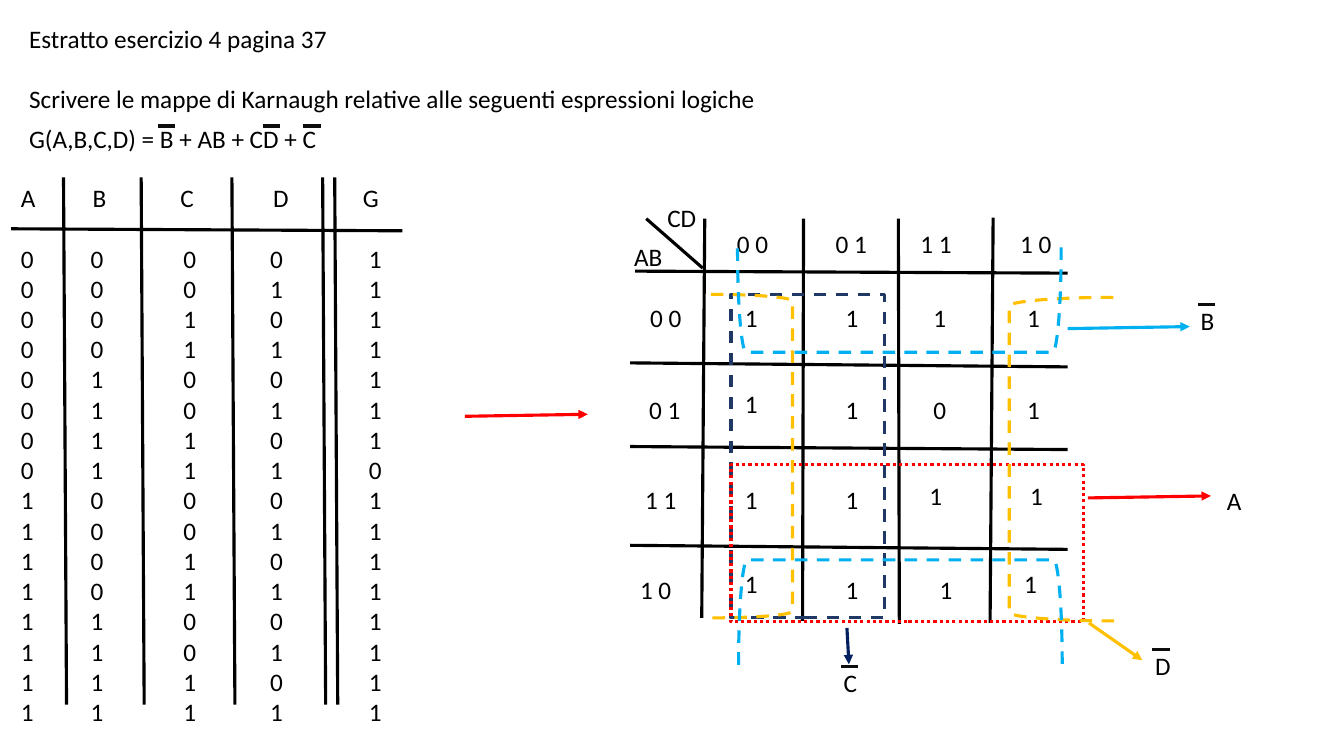
"""Builds the Karnaugh map exercise slide with its truth table and groupings."""
from itertools import product

from lxml.etree import SubElement
from pptx import Presentation
from pptx.dml.color import RGBColor
from pptx.enum.dml import MSO_LINE
from pptx.enum.shapes import MSO_CONNECTOR, MSO_SHAPE
from pptx.oxml.ns import qn
from pptx.util import Inches, Pt

COLOURS = {
    "black": "000000", "bar": "0D0D0D", "red": "FF0000", "yellow": "FFC000",
    "sky": "00B0F0", "blue": "203864", "navy": "002060",
}
LINE_PITCH = Pt(21.6)


class SlideBuilder:
    def __init__(self, slide):
        self.slide = slide
        self.font_name = "Calibri"
        self.font_size = Pt(18)
        self.line_width = Pt(2.25)

    def colour(self, name):
        return RGBColor.from_string(COLOURS[name])

    def text(self, left, top, width, height, *lines, gap_after_first=False, tab_stops=()):
        box = self.slide.shapes.add_textbox(
            Inches(left), Inches(top), Inches(width), Inches(height))
        frame = box.text_frame
        frame.word_wrap = True
        for index, line in enumerate(lines):
            paragraph = frame.add_paragraph() if index else frame.paragraphs[0]
            paragraph.text = line
            if index == 1 and gap_after_first:
                paragraph.space_before = LINE_PITCH
            if tab_stops:
                tab_list = SubElement(paragraph._p.get_or_add_pPr(), qn("a:tabLst"))
                for position in tab_stops[min(index, 1)]:
                    SubElement(tab_list, qn("a:tab"), pos=str(Inches(position)), algn="l")
            paragraph.font.name = self.font_name
            paragraph.font.size = self.font_size
            paragraph.font.color.rgb = self.colour("black")

    def line(self, start_x, start_y, end_x, end_y, colour="black", arrow=False):
        connector = self.slide.shapes.add_connector(
            MSO_CONNECTOR.STRAIGHT, Inches(start_x), Inches(start_y),
            Inches(end_x), Inches(end_y))
        connector.line.color.rgb = self.colour(colour)
        connector.line.width = self.line_width
        if arrow:
            SubElement(connector.line._get_or_add_ln(), qn("a:tailEnd"), type="triangle")
        SubElement(connector._element.spPr, qn("a:effectLst"))

    def negation_bar(self, left, top):
        self.line(left, top, left + 0.17, top, "bar")

    def outline(self, kind, left, top, width, height, colour, dash=MSO_LINE.DASH, rotation=0):
        shape = self.slide.shapes.add_shape(
            kind, Inches(left), Inches(top), Inches(width), Inches(height))
        shape.rotation = rotation
        shape.shadow.inherit = False
        shape.fill.background()
        shape.line.color.rgb = self.colour(colour)
        shape.line.width = self.line_width
        shape.line.dash_style = dash


def output(a, b, c, d):
    return int(not b or a or not c or not d)


def add_heading(builder):
    builder.text(0.19, 0.18, 12.89, 1.01, "Estratto esercizio 4 pagina 37",
                 "Scrivere le mappe di Karnaugh relative alle seguenti espressioni logiche",
                 gap_after_first=True)
    builder.text(0.19, 1.17, 12.62, 0.4, "G(A,B,C,D) = B + AB + CD + C")
    for left in (1.57, 2.61, 3.01):
        builder.negation_bar(left, 1.25)


def add_truth_table(builder):
    rows = ["\t".join(map(str, (*bits, output(*bits)))) for bits in product((0, 1), repeat=4)]
    header_stops = (0.71, 1.58, 2.5, 3.39)
    digit_stops = (0.69, 1.61, 2.47, 3.45)
    builder.text(0.11, 1.76, 4.39, 5.55, "A\tB\tC\tD\tG", *rows,
                 gap_after_first=True, tab_stops=(header_stops, digit_stops))
    for left in (0.63, 1.4, 2.3, 3.2, 3.32):
        builder.line(left, 1.76, left + 0.03, 6.99)
    builder.line(3.99, 2.29, 0.11, 2.27)
    builder.line(4.61, 4.13, 5.83, 4.11, "red", arrow=True)


def add_karnaugh_map(builder):
    for grid_line in (
        (6.99, 2.17, 6.96, 6.13), (7.97, 2.17, 7.96, 6.16),
        (8.91, 2.17, 8.92, 6.19), (9.85, 2.16, 9.82, 6.18),
        (6.3, 2.69, 10.59, 2.71), (6.25, 3.6, 10.59, 3.64),
        (6.25, 4.43, 10.59, 4.46), (6.25, 5.41, 10.59, 5.45),
        (6.41, 2.17, 6.97, 2.66),
    ):
        builder.line(*grid_line)
    builder.text(6.19, 2.34, 0.62, 0.4, "AB")
    builder.text(6.52, 1.96, 0.59, 0.4, "CD")

    gray_code = ((0, 0), (0, 1), (1, 1), (1, 0))
    row_tops = (2.95, 3.86, 4.76, 5.65)
    column_lefts = (7.29, 8.29, 9.16, 10.09)
    for bits, left in zip(gray_code, (7.21, 8.19, 9.03, 10.02)):
        builder.text(left, 2.22, 0.6, 0.4, "%d %d" % bits)
    for bits, left, top in zip(gray_code, (6.35, 6.34, 6.3, 6.25), row_tops):
        builder.text(left, top, 0.6, 0.4, "%d %d" % bits)

    nudges = {(1, 0): (0, -0.06), (2, 2): (-0.04, -0.04), (2, 3): (0.03, -0.04),
              (3, 0): (0, -0.06), (3, 2): (0.06, 0), (3, 3): (-0.03, -0.06)}
    for row, column in product(range(4), repeat=2):
        shift_x, shift_y = nudges.get((row, column), (0, 0))
        value = output(*gray_code[row], *gray_code[column])
        builder.text(column_lefts[column] + shift_x, row_tops[row] + shift_y,
                     0.4, 0.4, str(value))


def add_groupings(builder):
    bracket = MSO_SHAPE.LEFT_BRACKET
    builder.outline(MSO_SHAPE.RECTANGLE, 7.25, 2.92, 1.52, 3.21, "blue")
    builder.outline(MSO_SHAPE.RECTANGLE, 7.25, 4.61, 3.5, 1.56, "red", MSO_LINE.ROUND_DOT)
    builder.outline(bracket, 10.01, 2.95, 1.04, 3.21, "yellow")
    builder.outline(bracket, 7.05, 2.92, 0.81, 3.21, "yellow", rotation=180)
    builder.outline(bracket, 8.41, 4.47, 1.04, 3.21, "sky", rotation=90)
    builder.outline(bracket, 8.4, 1.37, 1.04, 3.21, "sky", rotation=270)

    for term, left, top, negated, colour, arrow in (
        ("A", 12.07, 4.77, False, "red", (10.79, 4.94, 12.01, 4.92)),
        ("B", 11.81, 2.98, True, "sky", (10.59, 3.26, 11.8, 3.24)),
        ("D", 11.36, 6.4, True, "yellow", (10.8, 6.18, 11.33, 6.55)),
        ("C", 8.27, 6.57, True, "navy", (8.4, 6.23, 8.42, 6.59)),
    ):
        builder.line(*arrow, colour, arrow=True)
        builder.text(left, top, 0.7, 0.4, term)
        if negated:
            builder.negation_bar(left + 0.07, top + 0.04)


def main():
    presentation = Presentation()
    presentation.slide_width = Inches(13.33)
    presentation.slide_height = Inches(7.5)
    builder = SlideBuilder(presentation.slides.add_slide(presentation.slide_layouts[6]))
    add_heading(builder)
    add_truth_table(builder)
    add_karnaugh_map(builder)
    add_groupings(builder)
    presentation.save("out.pptx")


if __name__ == "__main__":
    main()
